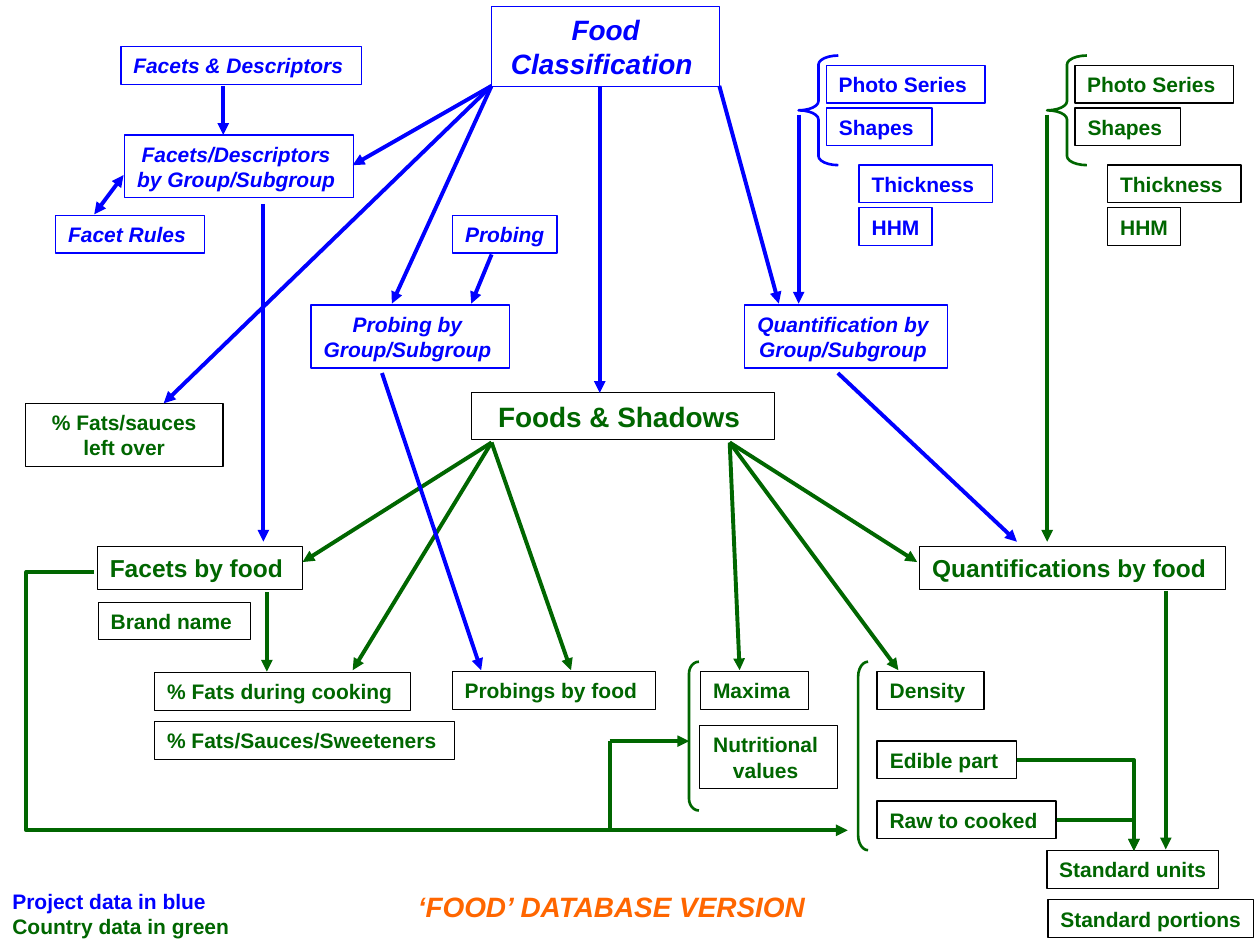
from itertools import cycle

from lxml import etree
from pptx import Presentation
from pptx.dml.color import RGBColor
from pptx.enum.shapes import MSO_CONNECTOR, MSO_SHAPE
from pptx.enum.text import MSO_ANCHOR, MSO_AUTO_SIZE, PP_ALIGN
from pptx.oxml.ns import qn
from pptx.util import Cm, Pt

RECTANGLE = MSO_SHAPE.RECTANGLE
BRACE, BRACKET = MSO_SHAPE.LEFT_BRACE, MSO_SHAPE.LEFT_BRACKET
STRAIGHT, ELBOW = MSO_CONNECTOR.STRAIGHT, MSO_CONNECTOR.ELBOW
CENTER, LEFT = PP_ALIGN.CENTER, PP_ALIGN.LEFT
MIDDLE, NO_AUTOSIZE = MSO_ANCHOR.MIDDLE, MSO_AUTO_SIZE.NONE

BLUE, GREEN, ORANGE, BLACK = "0000FF", "006600", "FF6600", "000000"
ONE_LINE, TWO_LINES = 0.76, 1.27
LARGE_LINE, HEADING_LINE = 0.86, 0.94
COUNTRY_SHIFT = 5.01  # from the project measures to the country measures

# Boxes: text, left, top, width, height
PROJECT_BOXES = [
    ("Facets & Descriptors ", 2.44, 0.94, 4.85, ONE_LINE),
    ("Facets/Descriptors \nby Group/Subgroup ", 2.51, 2.72, 4.62, TWO_LINES),
    ("Facet Rules ", 1.12, 4.34, 3, ONE_LINE),
    ("Probing", 9.12, 4.34, 2.11, ONE_LINE),
    ("Probing by \nGroup/Subgroup ", 6.27, 6.15, 4.01, TWO_LINES),
    ("Quantification by \nGroup/Subgroup ", 15.01, 6.15, 4.09, TWO_LINES),
]
MEASURE_BOXES = [
    ("Photo Series ", 16.66, 1.32, 3.2, ONE_LINE),
    ("Shapes ", 16.66, 2.18, 2.13, ONE_LINE),
    ("Thickness ", 17.32, 3.33, 2.69, ONE_LINE),
    ("HHM", 17.32, 4.19, 1.47, ONE_LINE),
]
COUNTRY_BOXES = [
    ("Brand name ", 1.98, 12.14, 3.07, ONE_LINE),
    ("% Fats during cooking ", 3.12, 13.56, 5.16, ONE_LINE),
    ("% Fats/Sauces/Sweeteners ", 3.12, 14.55, 6.05, ONE_LINE),
    ("Probings by food ", 9.12, 13.54, 4.09, ONE_LINE),
    ("Maxima ", 14.12, 13.54, 2.18, ONE_LINE),
    ("Nutritional \nvalues ", 14.1, 14.63, 2.79, TWO_LINES),
    ("Density ", 17.68, 13.54, 2.16, ONE_LINE),
    ("Edible part ", 17.68, 14.94, 2.82, ONE_LINE),
    ("Raw to cooked ", 17.68, 16.15, 3.61, ONE_LINE),
    ("Standard units", 21.11, 17.15, 3.45, ONE_LINE),
    ("Standard portions", 21.13, 18.14, 4.14, ONE_LINE),
]

# Arrows: start point, then every point it leads to
PROJECT_ARROWS = [
    ((9.91, 1.73), [(7.11, 3.33), (7.9, 6.12), (3.3, 8.13)]),
    ((12.09, 1.73), [(12.09, 7.92)]),
    ((14.5, 1.73), [(15.7, 6.12)]),
    ((4.5, 1.73), [(4.5, 2.72)]),
    ((5.31, 4.11), [(5.31, 10.92)]),
    ((9.91, 5.13), [(9.5, 6.12)]),
    ((7.7, 7.52), [(9.7, 13.51)]),
    ((16.89, 7.52), [(20.5, 10.92)]),
]
COUNTRY_ARROWS = [
    ((9.91, 8.92), [(6.1, 11.33), (7.11, 13.51), (11.51, 13.51)]),
    ((14.71, 8.92), [(14.91, 13.51), (18.11, 13.51), (18.49, 11.33)]),
    ((5.38, 11.94), [(5.38, 13.54)]),
    ((12.29, 14.94), [(13.89, 14.94)]),
    ((23.5, 11.91), [(23.5, 17.12)]),
]


def rgb(color):
    return RGBColor.from_string(color)


def write_text(shape, text, *, colors, size=12, italic=False, align=CENTER, wrap=False):
    """Write one paragraph per line, taking the colours in turn."""
    frame = shape.text_frame
    frame.text = text
    frame.auto_size = NO_AUTOSIZE
    frame.word_wrap = wrap
    frame.vertical_anchor = MIDDLE
    frame.margin_left = frame.margin_right = Cm(0.25)
    frame.margin_top = frame.margin_bottom = Cm(0.13)
    for paragraph, color in zip(frame.paragraphs, cycle(colors)):
        paragraph.alignment = align
        font = paragraph.font
        font.name, font.size = "Arial", Pt(size)
        font.bold, font.italic = True, italic
        font.color.rgb = rgb(color)


def add_outline(slide, kind, position, color, width):
    shape = slide.shapes.add_shape(kind, *map(Cm, position))
    shape.shadow.inherit = False
    shape.fill.background()
    shape.line.color.rgb = rgb(color)
    shape.line.width = Pt(width)
    return shape


def add_box(slide, text, *position, color=GREEN, border=BLACK, **text_format):
    shape = add_outline(slide, RECTANGLE, position, border, 0.75)
    write_text(shape, text, colors=[color], **text_format)


def add_bracket(slide, kind, *position, color=GREEN, curve):
    shape = add_outline(slide, kind, position, color, 1.5)
    shape.adjustments[0] = curve


def add_line(slide, start, end, color, *, kind=STRAIGHT, head=False, tail=True):
    connector = slide.shapes.add_connector(kind, *map(Cm, (*start, *end)))
    connector.line.color.rgb = rgb(color)
    connector.line.width = Pt(2.25)
    properties = connector._element.spPr
    etree.SubElement(properties, qn("a:effectLst"))
    line = properties.find(qn("a:ln"))
    for tag, wanted in (("a:headEnd", head), ("a:tailEnd", tail)):
        if wanted:
            etree.SubElement(line, qn(tag), type="triangle")
    return connector


def add_elbow(slide, start, end, color, *, bend=None):
    """Bend once at the corner, or at a share of the width if bend is given."""
    connector = add_line(slide, start, end, color, kind=ELBOW)
    geometry = connector._element.spPr.find(qn("a:prstGeom"))
    if bend is None:
        geometry.set("prst", "bentConnector2")
    else:
        guides = geometry.find(qn("a:avLst"))
        etree.SubElement(guides, qn("a:gd"), name="adj1", fmla=f"val {round(bend * 100000)}")


def add_measures(slide, shift, color, border, arrow_end):
    for text, left, *rest in MEASURE_BOXES:
        add_box(slide, text, left + shift, *rest, color=color, border=border)
    add_bracket(slide, BRACE, 16.1 + shift, 1.12, 0.8, 2.21, color=color, curve=0.23)
    add_line(slide, (16.1 + shift, 2.31), (16.1 + shift, arrow_end), color)


def main():
    presentation = Presentation()
    presentation.slide_width, presentation.slide_height = Cm(25.4), Cm(19.05)
    slide = presentation.slides.add_slide(presentation.slide_layouts[5])

    # Title and legend
    title = slide.shapes.title
    title.left, title.top, title.width, title.height = map(Cm, (8.1, 17.81, 8.61, HEADING_LINE))
    write_text(title, "‘FOOD’ DATABASE VERSION ", colors=[ORANGE], size=16, italic=True, wrap=True)
    legend = slide.shapes.add_textbox(*map(Cm, (0, 17.78, 4.9, TWO_LINES)))
    write_text(legend, "Project data in blue\nCountry data in green",
               colors=[BLUE, GREEN], align=LEFT, wrap=True)

    # Project data
    add_box(slide, "Food Classification ", 9.91, 0.13, 4.6, 1.62,
            color=BLUE, border=BLUE, size=16, italic=True, wrap=True)
    for box in PROJECT_BOXES:
        add_box(slide, *box, color=BLUE, border=BLUE, italic=True)

    # Country data
    add_box(slide, "Foods & Shadows ", 9.5, 7.92, 6.12, HEADING_LINE, size=16, wrap=True)
    add_box(slide, "% Fats/sauces left over", 0.51, 8.13, 3.99, TWO_LINES, wrap=True)
    add_box(slide, "Facets by food ", 1.96, 11.02, 4.14, LARGE_LINE, size=14)
    add_box(slide, "Quantifications by food ", 18.54, 11.02, 6.17, LARGE_LINE, size=14)
    for box in COUNTRY_BOXES:
        add_box(slide, *box)

    # Measures with their braces
    add_measures(slide, 0, BLUE, BLUE, 6.12)
    add_measures(slide, COUNTRY_SHIFT, GREEN, BLACK, 10.92)

    # Straight arrows
    for arrows, color in ((COUNTRY_ARROWS, GREEN), (PROJECT_ARROWS, BLUE)):
        for start, ends in arrows:
            for end in ends:
                add_line(slide, start, end, color)
    add_line(slide, (2.49, 3.53), (1.9, 4.32), BLUE, head=True)
    add_line(slide, (12.29, 16.71), (12.29, 14.94), GREEN, tail=False)

    # Bent arrows and brackets around the food values
    add_elbow(slide, (1.9, 11.53), (17.09, 16.74), GREEN, bend=-0.09)
    for start in ((20.5, 15.32), (21.31, 16.54)):
        add_elbow(slide, start, (22.86, 17.15), GREEN)
    add_bracket(slide, BRACKET, 13.89, 13.34, 0.2, 3, curve=1.2)
    add_bracket(slide, BRACKET, 17.3, 13.34, 0.2, 3.8, curve=1.5)

    presentation.save("out.pptx")


if __name__ == "__main__":
    main()
